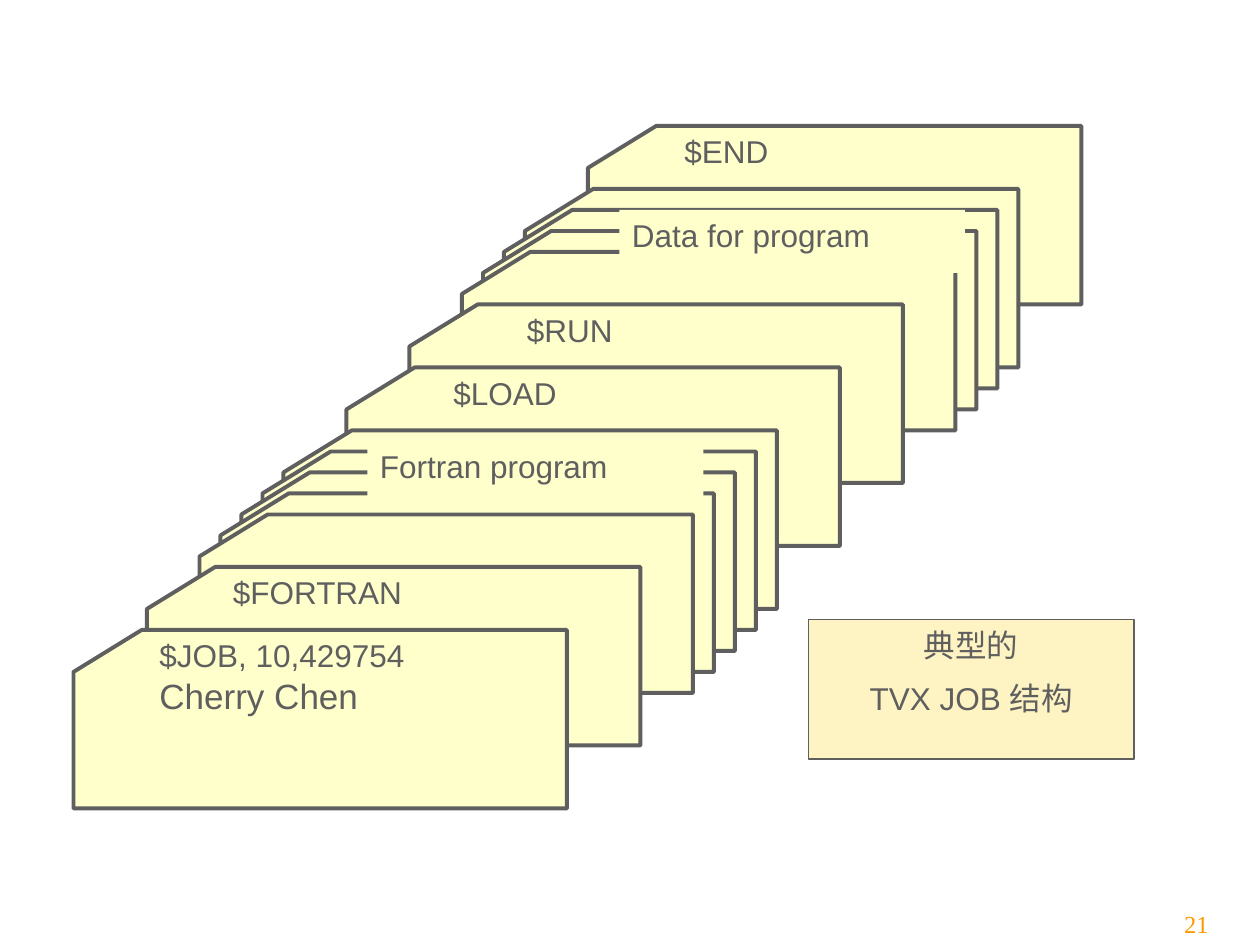
import pptx
import pptx.util
import pptx.dml.color
import pptx.enum.text
import pptx.enum.shapes

Cm = pptx.util.Cm
Pt = pptx.util.Pt

theme = {
    "card": "FFFFCC", "note": "FEF3C2", "ink": "5F5F5F", "page": "FF9900",
    "font": "Arial", "serif": "Times New Roman",
    "text": 18, "name": 20, "small": 14, "thick": 2.25, "thin": 0.75,
}

unit = 2.54 / 12
wide, high, cut, drop, step = 47, 17, 6.5, 4, 2

decks = [
    {"at": (56, 12), "count": 1, "label": (64, 12, 13, 6), "lines": ["$END"]},
    {"at": (50, 18), "count": 4, "label": (59, 20, 32.9, 6),
     "lines": ["Data for program"], "mask": True},
    {"at": (39, 29), "count": 1, "label": (49, 29, 13, 6), "lines": ["$RUN"]},
    {"at": (33, 35), "count": 1, "label": (42, 35, 16, 6), "lines": ["$LOAD"]},
    {"at": (27, 41), "count": 5, "label": (35, 42, 32, 6),
     "lines": ["Fortran program"], "mask": True},
    {"at": (14, 54), "count": 1, "label": (21, 54, 25, 6), "lines": ["$FORTRAN"]},
    {"at": (7, 60), "count": 1, "label": (14, 60, 32, 10),
     "lines": ["$JOB, 10,429754", "Cherry Chen"]},
]
note = {"at": (77, 59, 31, 13.3), "lines": ["典型的", "TVX JOB 结构"]}
page = {"at": (111.5, 85.4, 4.9, 4.6), "lines": ["21"]}


def grid(num):
    return Cm(num * unit)


def tint(name):
    return pptx.dml.color.RGBColor.from_string(theme[name])


def paint(shape, fill, line=None, width="thin"):
    shape.shadow.inherit = False
    shape.fill.solid()
    shape.fill.fore_color.rgb = tint(fill)
    if line:
        shape.line.color.rgb = tint(line)
        shape.line.width = Pt(theme[width])
    else:
        shape.line.fill.background()


def card(shapes, x, y):
    spots = [(x + wide, y + high), (x + wide, y), (x + cut, y), (x, y + drop)]
    path = shapes.build_freeform(grid(x), grid(y + high))
    path.add_line_segments([(grid(a), grid(b)) for a, b in spots], close=True)
    paint(path.convert_to_shape(), "card", "ink", "thick")


def block(shapes, box, lines, sizes, fill=None, line=None,
          font="font", ink="ink", center=False):
    rect = pptx.enum.shapes.MSO_SHAPE.RECTANGLE
    spot = [grid(num) for num in box]
    if fill:
        shape = shapes.add_shape(rect, *spot)
        paint(shape, fill, line)
    else:
        shape = shapes.add_textbox(*spot)
    frame = shape.text_frame
    frame.text = "\n".join(lines)
    frame.word_wrap = True
    frame.vertical_anchor = pptx.enum.text.MSO_ANCHOR.TOP
    align = pptx.enum.text.PP_ALIGN
    for para, size in zip(frame.paragraphs, sizes):
        para.alignment = align.CENTER if center else align.LEFT
        for run in para.runs:
            run.font.size = Pt(theme[size])
            run.font.name = theme[font]
            run.font.color.rgb = tint(ink)
    return frame


def main():
    deck = pptx.Presentation()
    deck.slide_width, deck.slide_height = Cm(25.4), Cm(19.05)
    shapes = deck.slides.add_slide(deck.slide_layouts[6]).shapes

    for pile in decks:
        x, y = pile["at"]
        for num in range(pile["count"]):
            card(shapes, x - num * step, y + num * step)
        fill = "card" if pile.get("mask") else None
        block(shapes, pile["label"], pile["lines"], ["text", "name"], fill)

    frame = block(shapes, note["at"], note["lines"], ["text", "text"],
                  "note", "ink", center=True)
    frame.paragraphs[1].space_before = Pt(9)

    frame = block(shapes, page["at"], page["lines"], ["small"],
                  font="serif", ink="page", center=True)
    frame.margin_left = frame.margin_right = 0
    frame.paragraphs[0].line_spacing = 1.2
    deck.save("out.pptx")


if __name__ == "__main__":
    main()
